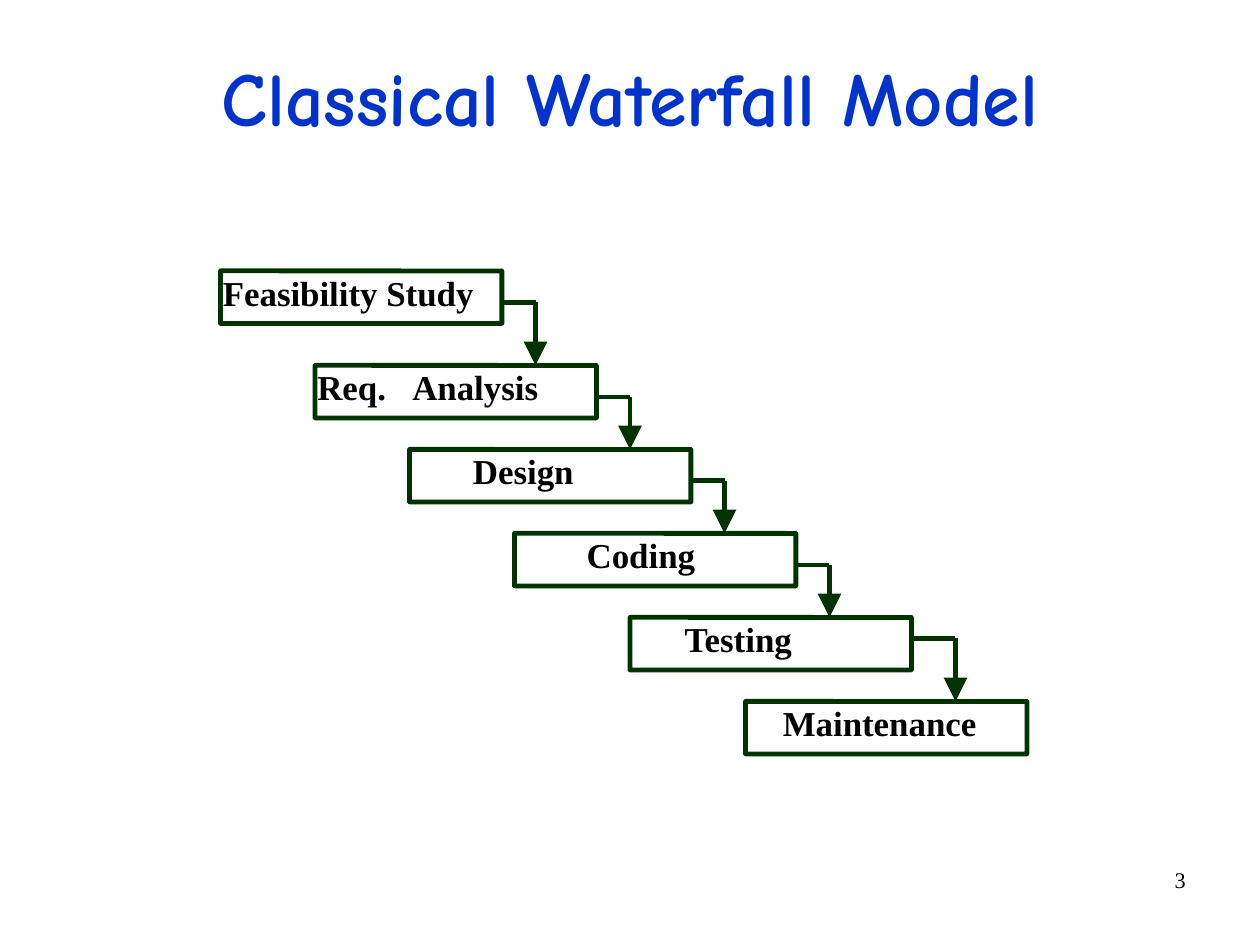
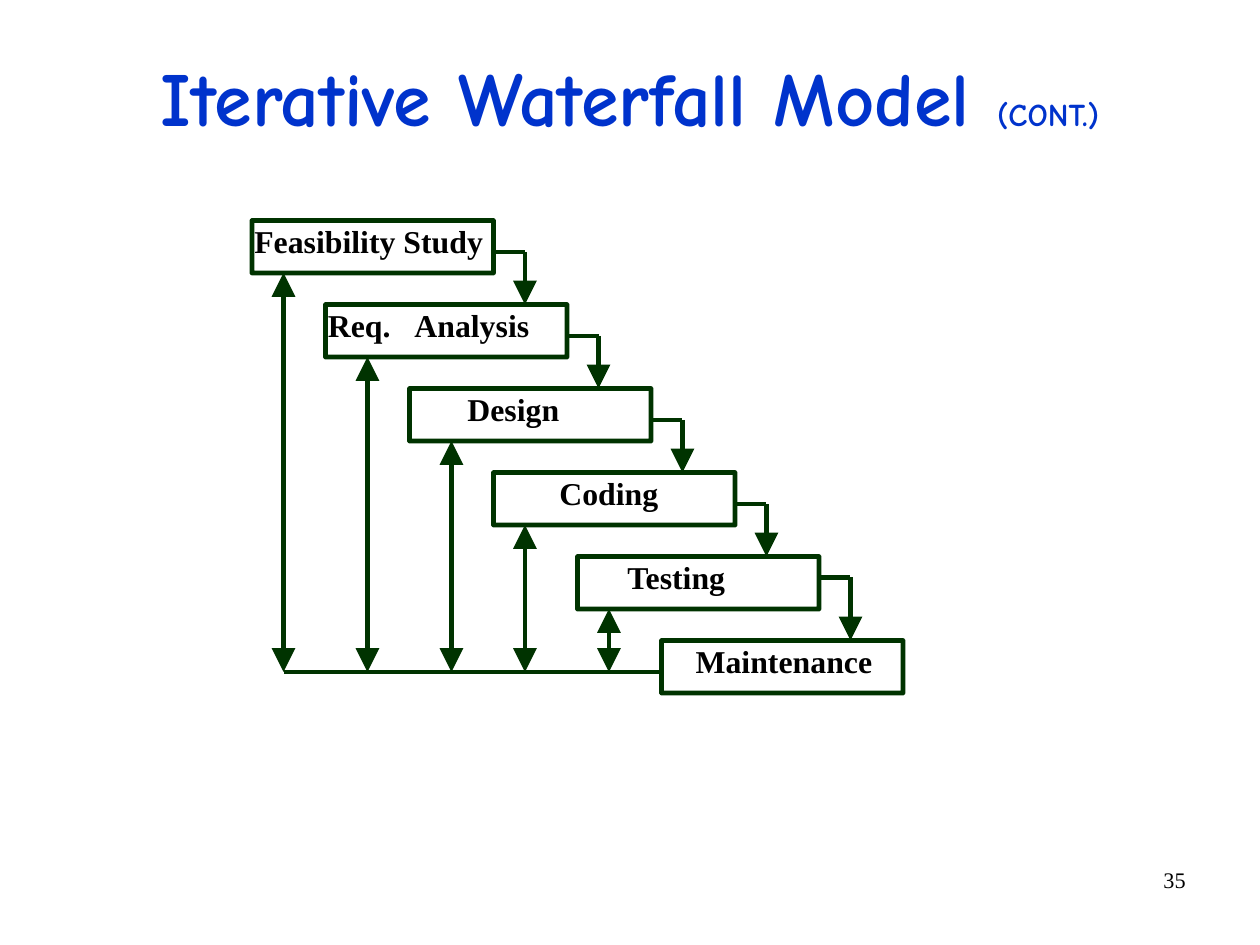
from lxml.etree import SubElement
from pptx import Presentation
from pptx.dml.color import RGBColor
from pptx.enum.shapes import MSO_CONNECTOR as Connector, MSO_SHAPE as Shape
from pptx.enum.text import MSO_ANCHOR as Anchor, MSO_AUTO_SIZE as AutoSize, PP_ALIGN as Align
from pptx.oxml.ns import qn
from pptx.util import Cm, Inches, Pt

COLORS = {"title": "0033CC", "line": "003300", "text": "000000"}
PHASES = [
    ("Feasibility Study", 0, 0),
    ("Req. Analysis", 0, 2),
    ("Design", 7, 0),
    ("Coding", 8, 0),
    ("Testing", 6, 0),
    ("Maintenance", 4, 0),
]
COLUMNS = 120
SPACE_EM = 0.25
BOX_ROWS = 5


class Deck:
    """Holds the style, the grid and the current slide."""

    def __init__(self):
        self.prs = Presentation()
        self.prs.slide_width, self.prs.slide_height = Cm(28), Cm(21)
        self.cell = self.prs.slide_width / COLUMNS
        self.slide = None

    def grid(self, *cells):
        return [round(cell * self.cell) for cell in cells]

    def color(self, name):
        return RGBColor.from_string(COLORS[name])

    def font(self, run, size, color="text", face="Times New Roman", bold=True):
        run.font.name, run.font.size, run.font.bold = face, Pt(size), bold
        run.font.color.rgb = self.color(color)

    def frame(self, shape, anchor, side=0.02, edge=0.06):
        frame = shape.text_frame
        frame.word_wrap, frame.auto_size = True, AutoSize.NONE
        frame.vertical_anchor = anchor
        frame.margin_left = frame.margin_right = Inches(side)
        frame.margin_top = frame.margin_bottom = Inches(edge)
        return frame.paragraphs[0]

    def start(self, number, *title_parts):
        self.slide = self.prs.slides.add_slide(self.prs.slide_layouts[5])
        title = self.slide.shapes.title
        title.left, title.top, title.width, title.height = self.grid(8.8, 2.15, 102.4, 14.9)
        heading = self.frame(title, Anchor.MIDDLE)
        heading.alignment, heading.line_spacing = Align.CENTER, 0.94
        heading.space_before = Pt(10)
        for words, size in title_parts:
            run = heading.add_run()
            run.text = words
            self.font(run, size, "title", "Comic Neue")
        footer = self.slide.shapes.add_textbox(*self.grid(86, 81.95, 28, 6.2))
        page = self.frame(footer, Anchor.TOP, 0.1, 0.05)
        page.text, page.alignment = number, Align.RIGHT
        self.font(page.runs[0], 14, bold=False)

    def box(self, left, top, width, label, indent, gap, size):
        box = self.slide.shapes.add_shape(
            Shape.ROUNDED_RECTANGLE, *self.grid(left, top, width, BOX_ROWS))
        box.adjustments[0] = 0.004
        box.shadow.inherit = False
        box.fill.background()
        box.line.color.rgb, box.line.width = self.color("line"), Pt(3)
        phase = self.frame(box, Anchor.TOP)
        phase.alignment, phase.line_spacing = Align.LEFT, 0.85
        phase.space_before = Pt(size * 0.57)
        props = phase._p.get_or_add_pPr()
        props.set("marL", str(Pt(indent * SPACE_EM * size)))
        props.set("indent", "0")
        for words in label.partition(" ") if gap else [label]:
            run = phase.add_run()
            run.text = words
            self.font(run, size)
            if words == " ":
                run.font._element.set("spc", str(round(gap * SPACE_EM * size * 100)))

    def line(self, x1, y1, x2, y2, *ends):
        line = self.slide.shapes.add_connector(
            Connector.STRAIGHT, *self.grid(x1, y1, x2, y2))
        line.line.color.rgb, line.line.width = self.color("line"), Pt(3)
        outline = line.line._get_or_add_ln()
        for end in ends:
            SubElement(outline, qn(f"a:{end}"), type="triangle", w="lg", len="lg")
        SubElement(line._element.spPr, qn("a:effectLst"))

    def waterfall(self, lefts, tops, width, turns, size):
        for left, top, phase in zip(lefts, tops, PHASES):
            self.box(left, top, width, *phase, size)
        exits = [3, 3, 3, 3, 2]
        for left, top, turn, below, drop in zip(lefts, tops, turns, tops[1:], exits):
            self.line(left + width, top + drop, turn, top + drop)
            self.line(turn, top + drop, turn, below, "tailEnd")

    def feedback(self, xs, tops, rail, start):
        self.line(start, rail, xs[0], rail)
        for x, top in zip(xs, tops):
            self.line(x, rail, x, top + BOX_ROWS, "headEnd", "tailEnd")


def main():
    deck = Deck()

    deck.start("3", ("Classical Waterfall Model", 48))
    tops = [25.8] + [34.8 + 8 * step for step in range(5)]
    deck.waterfall([21, 30, 39, 49, 60, 71], tops, 26.8, [51, 60, 69, 79, 91], 22)

    deck.start("35", ("Iterative Waterfall Model ", 48), ("(CONT.)", 20))
    lefts = [24] + [31 + 8 * step for step in range(5)]
    tops = [21 + 8 * step for step in range(6)]
    width = 23
    deck.waterfall(lefts, tops, width, [left + width + 3 for left in lefts[:-1]], 20)
    deck.feedback([27, 35, 43, 50, 58], tops, 64, lefts[-1])

    deck.prs.save("out.pptx")


if __name__ == "__main__":
    main()
